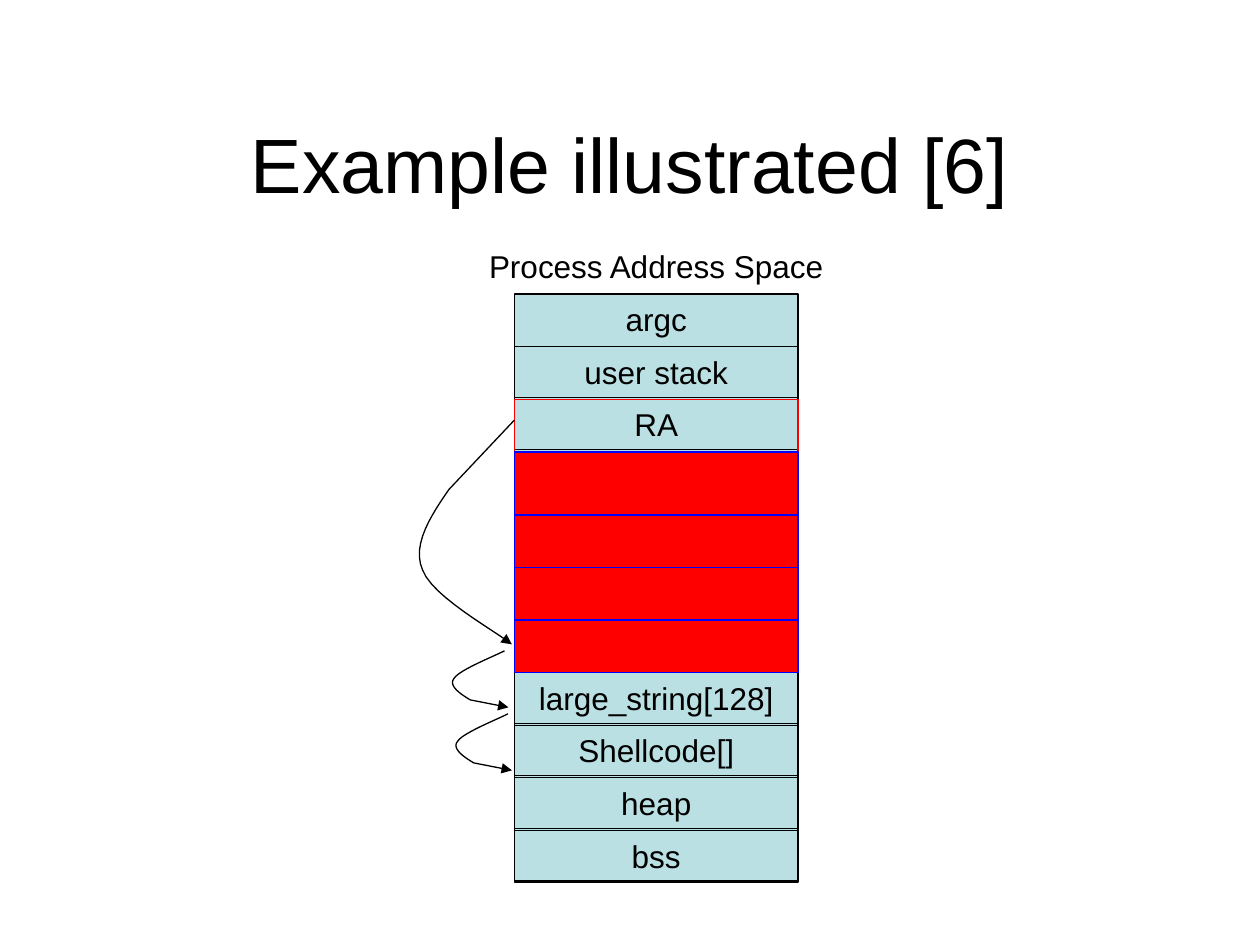
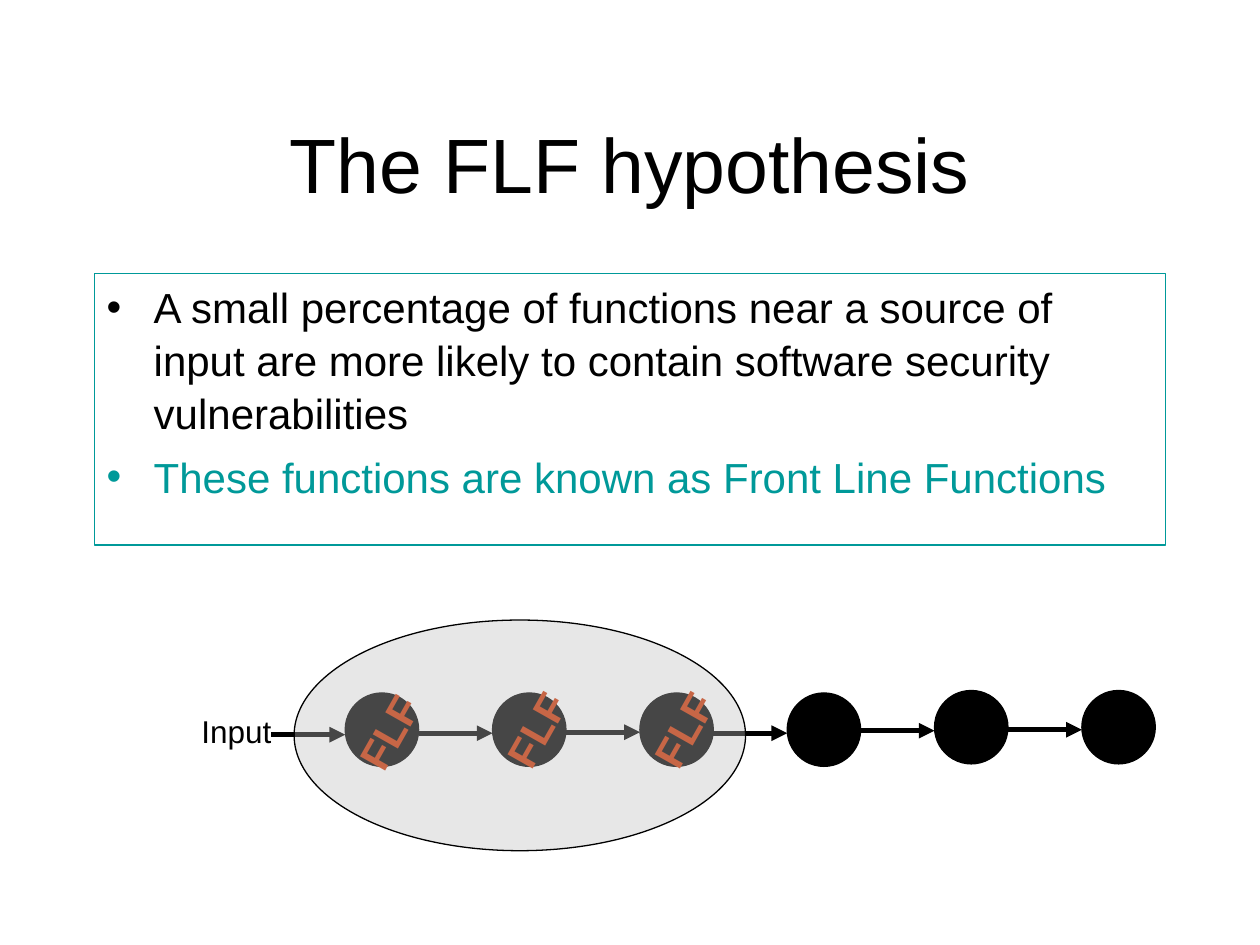
from dataclasses import dataclass

from lxml import etree
from pptx import Presentation
from pptx.dml.color import RGBColor
from pptx.enum.shapes import MSO_CONNECTOR, MSO_SHAPE
from pptx.enum.text import MSO_ANCHOR, PP_ALIGN
from pptx.oxml.ns import qn
from pptx.util import Cm, Pt

BLACK = RGBColor(0x00, 0x00, 0x00)
RED = RGBColor(0xFF, 0x00, 0x00)
BLUE = RGBColor(0x00, 0x00, 0xFF)
PALE_TEAL = RGBColor(0xBB, 0xE0, 0xE3)
TEAL = RGBColor(0x00, 0x99, 0x99)
RUST = RGBColor(0xCC, 0x33, 0x00)
SILVER = RGBColor(0xC0, 0xC0, 0xC0)
FONT = "Arial"
THIN = 0.75
THICK = 3


@dataclass
class Box:
    left: float
    top: float
    width: float
    height: float

    def inner(self, left, top, width, height):
        return Box(self.left + left, self.top + top, width, height)

    def lengths(self):
        return [Cm(value) for value in (self.left, self.top, self.width, self.height)]


TITLE_BOX = Box(1.9, 1.7, 21.6, 3.18)
MEMORY_BOX = Box(10.37, 5.93, 5.72, 11.85)
HYPOTHESIS_BOX = Box(1.9, 5.51, 21.6, 5.48)
CALL_CHAIN_BOX = Box(3.39, 12.5, 19.9, 4.65)

ROW_HEIGHT = 1.06
FRAME_HEIGHT = 1.02
FIRST_BUFFER_HEIGHT = 1.27
UPPER_ROWS = ["argc", "user stack", "RA"]
LOWER_ROWS = ["large_string[128]", "Shellcode[]", "heap", "bss"]
BUFFER_ROWS = 4

RETURN_JUMP = [
    [(-1.32, 1.4)],
    [(-1.65, 1.88), (-2.08, 2.51), (-1.85, 3.02)],
    [(-1.65, 3.56), (-0.43, 4.22), (-0.05, 4.52)],
]
SHORT_HOP = [
    [(-0.18, 0.1), (-0.91, 0.38), (-1.02, 0.56)],
    [(-1.14, 0.71), (-0.86, 0.89), (-0.69, 0.99)],
    [(0.08, 1.14)],
]
CURVE_STEPS = 12

HYPOTHESIS = [
    ("A small percentage of functions near a source of input are more likely "
     "to contain software security vulnerabilities", BLACK),
    ("These functions are known as Front Line Functions", TEAL),
]

CIRCLE_SIZE = 1.48
CIRCLE_PITCH = 2.97
CIRCLE_LEFT = 3.57
CIRCLE_TOPS = [1.47, 1.47, 1.47, 1.47, 1.42, 1.42]
ARROW_HEIGHTS = [2.31, 2.28, 2.26, 2.28, 2.23, 2.21]
LABEL_TOPS = [1.62, 1.57, 1.57]


def add_run(paragraph, text, size, color, bold=False):
    run = paragraph.add_run()
    run.text = text
    run.font.name = FONT
    run.font.size = Pt(size)
    run.font.bold = bold
    run.font.color.rgb = color


def add_label(slide, box, text, size=18, color=BLACK, bold=False, anchor=MSO_ANCHOR.TOP):
    shape = slide.shapes.add_textbox(*box.lengths())
    shape.text_frame.word_wrap = True
    shape.text_frame.vertical_anchor = anchor
    paragraph = shape.text_frame.paragraphs[0]
    paragraph.alignment = PP_ALIGN.CENTER
    add_run(paragraph, text, size, color, bold)
    return shape


def add_title(slide, text):
    add_label(slide, TITLE_BOX, text, size=44, anchor=MSO_ANCHOR.MIDDLE)


def style_line(shape, color, width=THIN):
    shape.line.color.rgb = color
    shape.line.width = Pt(width)


def add_filled(slide, kind, box, fill=None, line=BLACK):
    shape = slide.shapes.add_shape(kind, *box.lengths())
    shape.shadow.inherit = False
    if fill is None:
        shape.fill.background()
    else:
        shape.fill.solid()
        shape.fill.fore_color.rgb = fill
    style_line(shape, line)
    return shape


def add_arrowhead(shape):
    line = shape._element.spPr.find(qn("a:ln"))
    etree.SubElement(line, qn("a:tailEnd"), type="triangle")


def curve_points(start, segments):
    points = [start]
    for segment in segments:
        if len(segment) == 1:
            points.append(segment[0])
            continue
        anchors = [points[-1], *segment]
        for step in range(1, CURVE_STEPS + 1):
            t = step / CURVE_STEPS
            weights = [(1 - t) ** 3, 3 * t * (1 - t) ** 2, 3 * t * t * (1 - t), t ** 3]
            points.append(tuple(
                sum(weight * anchor[axis] for weight, anchor in zip(weights, anchors))
                for axis in (0, 1)))
    return points


def add_curved_arrow(slide, left, top, segments):
    points = [(Cm(left + x), Cm(top + y)) for x, y in curve_points((0, 0), segments)]
    builder = slide.shapes.build_freeform(*points[0])
    builder.add_line_segments(points[1:], close=False)
    shape = builder.convert_to_shape()
    shape.shadow.inherit = False
    shape.fill.background()
    style_line(shape, BLACK)
    add_arrowhead(shape)


def add_straight_arrow(slide, left, right, height):
    connector = slide.shapes.add_connector(
        MSO_CONNECTOR.STRAIGHT, Cm(left), Cm(height), Cm(right), Cm(height))
    style_line(connector, BLACK, THICK)
    add_arrowhead(connector)
    etree.SubElement(connector._element.spPr, qn("a:effectLst"))


def draw_memory(slide, box):
    add_label(slide, box.inner(-1.05, -1.07, 7.82, FRAME_HEIGHT), "Process Address Space")
    add_filled(slide, MSO_SHAPE.RECTANGLE, box, PALE_TEAL)

    buffer_top = len(UPPER_ROWS) * ROW_HEIGHT
    second_buffer_top = buffer_top + FIRST_BUFFER_HEIGHT
    lower_top = second_buffer_top + (BUFFER_ROWS - 1) * ROW_HEIGHT
    for first_top, names in ((0, UPPER_ROWS), (lower_top, LOWER_ROWS)):
        for index, name in enumerate(names):
            row = box.inner(0, first_top + index * ROW_HEIGHT, box.width, FRAME_HEIGHT)
            if name != "argc":
                add_filled(slide, MSO_SHAPE.RECTANGLE, row)
            add_label(slide, row, name)

    return_address = box.inner(0, buffer_top - ROW_HEIGHT, box.width, ROW_HEIGHT)
    add_filled(slide, MSO_SHAPE.RECTANGLE, return_address, line=RED)
    first_buffer = box.inner(0, buffer_top, box.width, FIRST_BUFFER_HEIGHT)
    add_filled(slide, MSO_SHAPE.RECTANGLE, first_buffer, RED, BLUE)
    for index in range(BUFFER_ROWS - 1):
        row = box.inner(0, second_buffer_top + index * ROW_HEIGHT, box.width, ROW_HEIGHT)
        add_filled(slide, MSO_SHAPE.RECTANGLE, row, RED, BLUE)

    for left, top, segments in (
            (0, 2.54, RETURN_JUMP), (-0.2, 7.19, SHORT_HOP), (-0.13, 8.46, SHORT_HOP)):
        add_curved_arrow(slide, box.left + left, box.top + top, segments)


def add_bullet(paragraph, color):
    properties = paragraph._p.get_or_add_pPr()
    properties.set("marL", str(Cm(0.95)))
    properties.set("indent", str(-Cm(0.95)))
    bullet_color = etree.SubElement(properties, qn("a:buClr"))
    etree.SubElement(bullet_color, qn("a:srgbClr"), val=str(color))
    etree.SubElement(properties, qn("a:buFont"), typeface=FONT)
    etree.SubElement(properties, qn("a:buChar"), char="•")


def draw_hypothesis(slide, box):
    shape = slide.shapes.add_textbox(*box.lengths())
    style_line(shape, TEAL)
    frame = shape.text_frame
    frame.word_wrap = True
    for index, (text, color) in enumerate(HYPOTHESIS):
        paragraph = frame.add_paragraph() if index else frame.paragraphs[0]
        add_bullet(paragraph, color)
        paragraph.line_spacing = 1.05
        if index:
            paragraph.space_before = Pt(6)
        add_run(paragraph, text, 24, color)


def draw_call_chain(slide, box):
    for index, (circle_top, arrow_height) in enumerate(zip(CIRCLE_TOPS, ARROW_HEIGHTS)):
        circle_left = CIRCLE_LEFT + index * CIRCLE_PITCH
        circle = box.inner(circle_left, circle_top, CIRCLE_SIZE, CIRCLE_SIZE)
        add_straight_arrow(slide, circle.left - CIRCLE_PITCH + CIRCLE_SIZE,
                           circle.left, box.top + arrow_height)
        add_filled(slide, MSO_SHAPE.OVAL, circle, BLACK)

    for index, label_top in enumerate(LABEL_TOPS):
        label_box = box.inner(CIRCLE_LEFT - 0.3 + index * CIRCLE_PITCH, label_top, 2.34, 1.27)
        label = add_label(slide, label_box, "FLF", 24, RUST, bold=True)
        label.rotation = 299.5

    front_line = add_filled(slide, MSO_SHAPE.OVAL, box.inner(2.54, 0, 9.1, box.height), SILVER)
    color = front_line._element.spPr.find(qn("a:solidFill")).find(qn("a:srgbClr"))
    etree.SubElement(color, qn("a:alpha"), val="37000")
    add_label(slide, box.inner(0, 1.72, 2.75, FRAME_HEIGHT), "Input")


def add_slide(presentation, title):
    slide = presentation.slides.add_slide(presentation.slide_layouts[6])
    add_title(slide, title)
    return slide


def main():
    presentation = Presentation()
    presentation.slide_width = Cm(25.4)
    presentation.slide_height = Cm(19.05)

    memory_slide = add_slide(presentation, "Example illustrated [6]")
    draw_memory(memory_slide, MEMORY_BOX)

    hypothesis_slide = add_slide(presentation, "The FLF hypothesis")
    draw_hypothesis(hypothesis_slide, HYPOTHESIS_BOX)
    draw_call_chain(hypothesis_slide, CALL_CHAIN_BOX)

    presentation.save("out.pptx")


if __name__ == "__main__":
    main()
